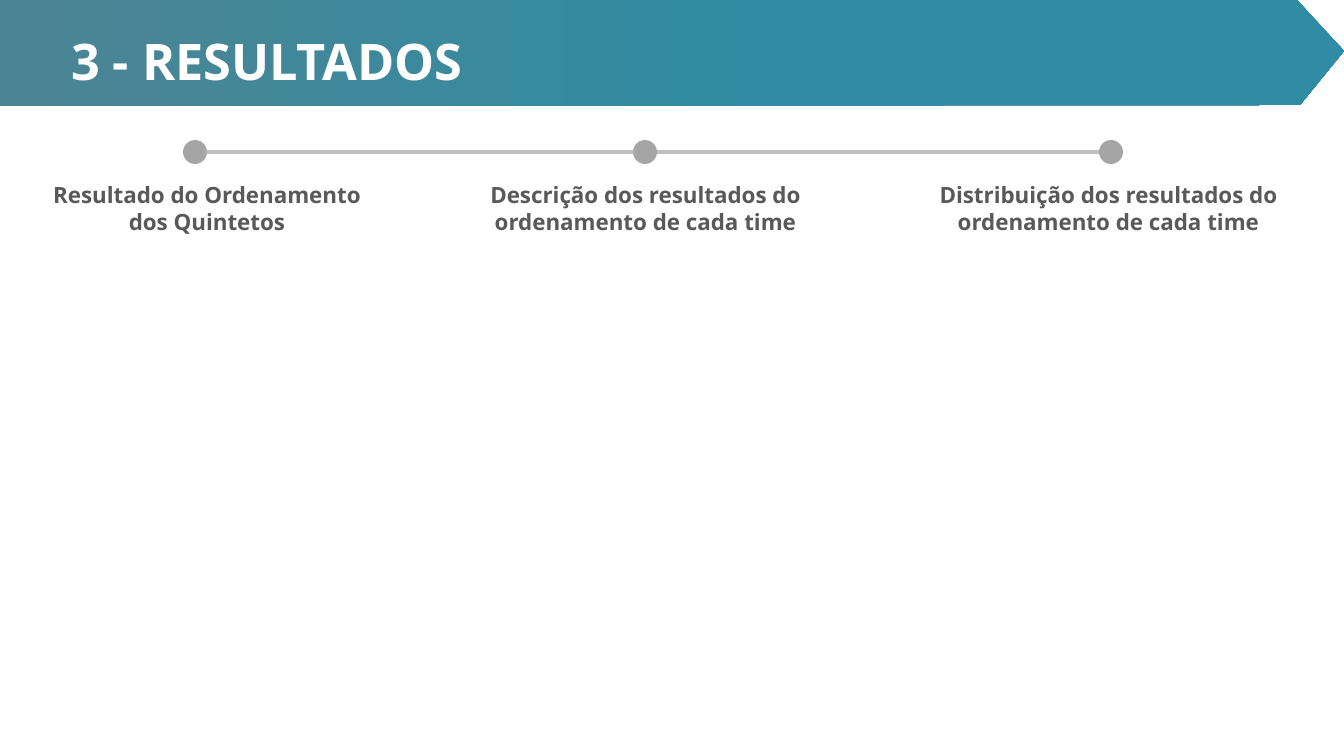
from lxml import etree
from pptx import Presentation
from pptx.dml.color import RGBColor
from pptx.enum.shapes import MSO_CONNECTOR, MSO_SHAPE
from pptx.enum.text import MSO_ANCHOR, MSO_AUTO_SIZE, PP_ALIGN
from pptx.oxml.ns import qn
from pptx.util import Pt

STRAIGHT = MSO_CONNECTOR.STRAIGHT
OVAL = MSO_SHAPE.OVAL
LEFT, CENTER = PP_ALIGN.LEFT, PP_ALIGN.CENTER

TITLE = "3 - RESULTADOS"
STEPS = [
    {"text": "Resultado do Ordenamento dos Quintetos", "dot": 183, "left": 30, "width": 354},
    {"text": "Descrição dos resultados do ordenamento de cada time", "dot": 633, "left": 461, "width": 369},
    {"text": "Distribuição dos resultados do ordenamento de cada time", "dot": 1099, "left": 924, "width": 369},
]
COLORS = {
    "banner_left": "4B8493",
    "banner": "2F8CA4",
    "title": "FFFFFF",
    "line": "BFBFBF",
    "dot": "A5A5A5",
    "label": "595959",
}
FONT = "Open Sans"
SLIDE_W, SLIDE_H = 1344, 756
BANNER = [(0, 0), (1297, 0), (1344, 51), (1300, 105), (0, 106)]
AXIS_Y, DOT = 152, 24
LABEL_TOP, LABEL_H = 176, 64
PX = 914400 / 100.8


def px(n):
    return round(n * PX)


def box(*lengths):
    return [px(n) for n in lengths]


def rgb(name):
    return RGBColor.from_string(COLORS[name])


def write(sp, text, size, color, align):
    tf = sp.text_frame
    tf.text = text
    tf.word_wrap = True
    tf.auto_size = MSO_AUTO_SIZE.NONE
    p = tf.paragraphs[0]
    p.alignment = align
    font = p.runs[0].font
    font.name, font.size, font.bold = FONT, Pt(size), True
    font.color.rgb = rgb(color)
    return p


prs = Presentation()
prs.slide_width, prs.slide_height = box(SLIDE_W, SLIDE_H)
s = prs.slides.add_slide(prs.slide_layouts[5])

builder = s.shapes.build_freeform(*BANNER[0], scale=PX)
builder.add_line_segments(BANNER[1:], close=True)
banner = builder.convert_to_shape()
banner.shadow.inherit = False
banner.line.fill.background()
banner.fill.gradient()
banner.fill.gradient_angle = 0
stops = [(0, "banner_left"), (0.59, "banner")]
for stop, (position, color) in zip(banner.fill.gradient_stops, stops):
    stop.position = position
    stop.color.rgb = rgb(color)

title = s.shapes.title
title.left, title.top, title.width, title.height = box(61, 28, 1210, 72)
p = write(title, TITLE, 36, "title", LEFT)
p.line_spacing = 0.9
title.text_frame.vertical_anchor = MSO_ANCHOR.MIDDLE
banner._element.addnext(title._element)

line = s.shapes.add_connector(
    STRAIGHT, *box(STEPS[0]["dot"], AXIS_Y, STEPS[-1]["dot"] + DOT / 2, AXIS_Y))
line.line.color.rgb = rgb("line")
line.line.width = Pt(2.25)
etree.SubElement(line._element.spPr, qn("a:effectLst"))

for step in STEPS:
    dot = s.shapes.add_shape(OVAL, *box(step["dot"], AXIS_Y - DOT / 2, DOT, DOT))
    dot.shadow.inherit = False
    dot.fill.solid()
    dot.fill.fore_color.rgb = rgb("dot")
    dot.line.fill.background()
    label = s.shapes.add_textbox(*box(step["left"], LABEL_TOP, step["width"], LABEL_H))
    write(label, step["text"], 16, "label", CENTER)

prs.save("out.pptx")
